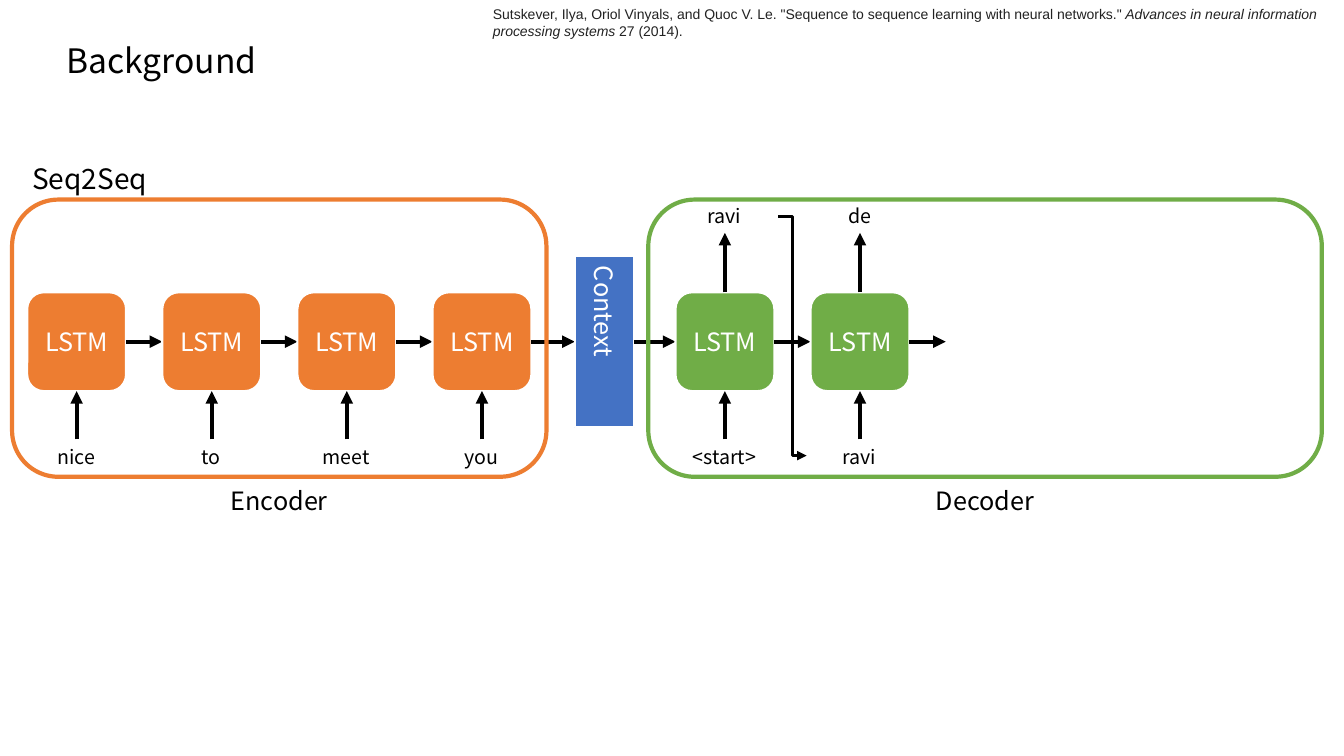
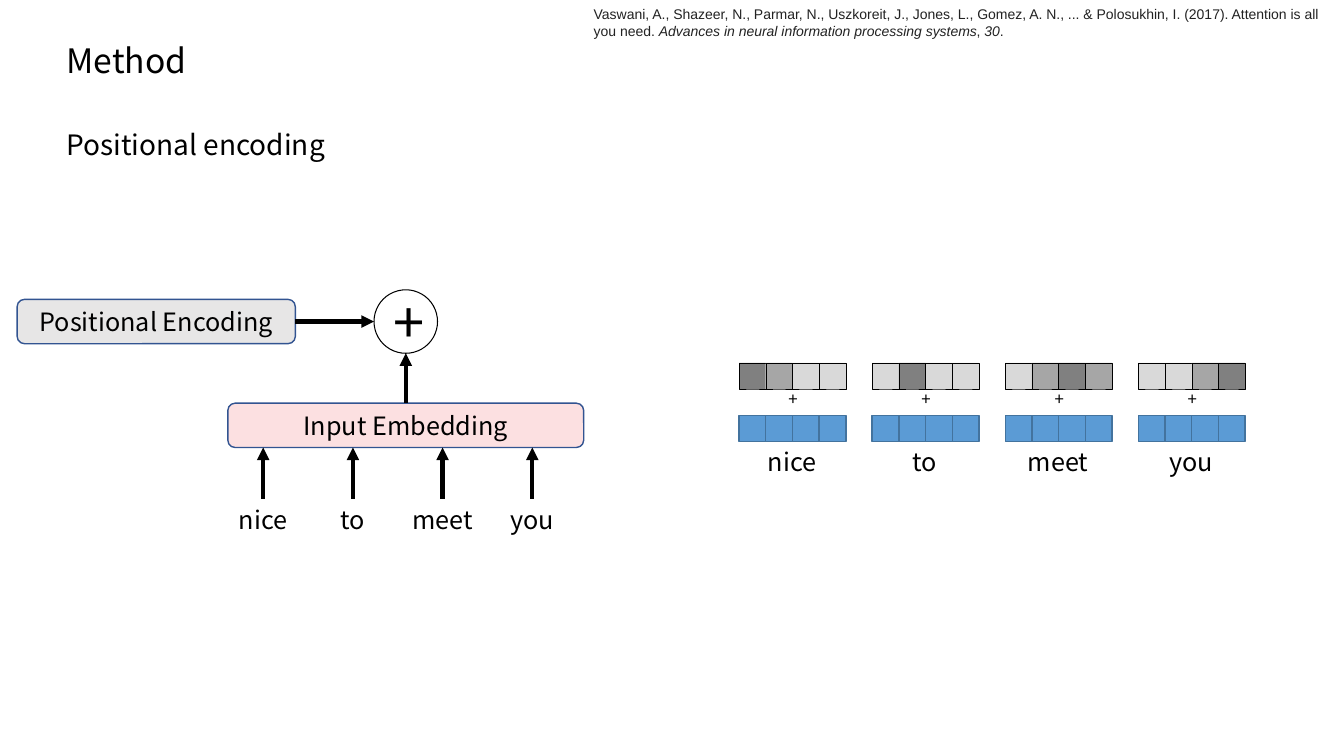
from lxml import etree
from pptx import Presentation
from pptx import util as u
from pptx.dml.color import RGBColor
from pptx.enum import shapes, text
from pptx.oxml.ns import qn

FONT = "Noto Sans CJK KR"
INK = {
    "black": "000000", "white": "FFFFFF", "cite": "222222",
    "orange": "ED7D31", "green": "70AD47", "blue": "4472C4",
    "pink": "FCE0E1", "pale": "E7E6E6", "navy": "325491",
    "sky": "5B9BD5", "steel": "43739E",
    "dark": "808080", "mid": "A6A6A6", "light": "D9D9D9",
}
KIND = shapes.MSO_SHAPE
LEFT, MID = text.PP_ALIGN.LEFT, text.PP_ALIGN.CENTER
TOP, HALF = text.MSO_ANCHOR.TOP, text.MSO_ANCHOR.MIDDLE
WORDS = ["nice", "to", "meet", "you"]


def rgb(ink):
    return RGBColor.from_string(INK[ink])


def place(box):
    return [u.Inches(v) for v in box]


def write(frame, runs, size, ink="black", font=FONT, align=MID, anchor=HALF):
    """Fill a text frame with one paragraph of (words, italic) runs."""
    form = {"word_wrap": True, "vertical_anchor": anchor,
            "auto_size": text.MSO_AUTO_SIZE.NONE}
    for key, value in form.items():
        setattr(frame, key, value)
    if isinstance(runs, str):
        runs = [(runs, False)]
    para = frame.paragraphs[0]
    para.alignment = align
    for words, slant in runs:
        run = para.add_run()
        run.text = words
        form = {"size": u.Pt(size), "name": font, "italic": slant, "bold": False}
        for key, value in form.items():
            setattr(run.font, key, value)
        run.font.color.rgb = rgb(ink)


def label(tree, box, runs, size, **form):
    write(tree.add_textbox(*place(box)).text_frame, runs, size, **form)


def shape(tree, kind, box, fill, line, width):
    item = tree.add_shape(kind, *place(box))
    item.shadow.inherit = False
    if fill:
        item.fill.solid()
        item.fill.fore_color.rgb = rgb(fill)
    else:
        item.fill.background()
    item.line.color.rgb = rgb(line)
    item.line.width = u.Pt(width)
    return item


def arrow(tree, start, end, width=3, kind=shapes.MSO_CONNECTOR.STRAIGHT):
    item = tree.add_connector(kind, *place(start + end))
    item.line.color.rgb = rgb("black")
    item.line.width = u.Pt(width)
    props = item.element.spPr
    etree.SubElement(props.find(qn("a:ln")), qn("a:tailEnd"), type="triangle")
    etree.SubElement(props, qn("a:effectLst"))


# Shared slide frame: title and citation
def start(deck, title, cite, box):
    slide = deck.slides.add_slide(deck.slide_layouts[5])
    head = slide.shapes.title
    head.left, head.top, head.width, head.height = place((0.56, 0.35, 3.92, 0.5))
    write(head.text_frame, title, 24, align=LEFT)
    label(slide.shapes, box, cite, 10, ink="cite", font="Arial", align=LEFT)
    return slide.shapes


# A framed row of LSTM cells, each fed by a word and perhaps giving one
def coder(tree, box, name, ink, pad, words, gap, outs=()):
    left, top, wide, high = box
    side, step, row = 0.98, 1.34, top + 0.92
    mid, feed = row + side / 2, top + 2.38
    for i, word in enumerate(words):
        x = left + pad + i * step
        axis, edge = x + side / 2, x + side
        cell = shape(tree, KIND.ROUNDED_RECTANGLE, (x, row, side, side),
                     ink, "white", 1.5)
        write(cell.text_frame, "LSTM", 18, "white")
        label(tree, (axis - 0.54, feed, 1.07, 0.34), word, 14)
        arrow(tree, (axis, feed), (axis, row + side))
        ahead = gap if i == len(words) - 1 else step - side
        arrow(tree, (edge, mid), (edge + ahead, mid))
        if outs:
            label(tree, (axis - 0.54, top - 0.01, 1.07, 0.34), outs[i], 14)
            arrow(tree, (axis, row), (axis, top + 0.33))
        # The output goes on as the next input
        if i < len(outs) - 1:
            arrow(tree, (edge + 0.04, top + 0.17), (edge + 0.32, top + 2.54),
                  2.25, shapes.MSO_CONNECTOR.ELBOW)
    shape(tree, KIND.ROUNDED_RECTANGLE, box, None, ink, 3)
    label(tree, (left, top + high + 0.01, wide, 0.45), name, 18)


# The vector passed from encoder to decoder
def context(tree, box):
    left, top, wide, high = box
    item = shape(tree, KIND.RECTANGLE, box, "blue", "white", 1.5)
    write(item.text_frame, "Context", 18, "white")
    item.element.find(".//" + qn("a:bodyPr")).set("vert", "eaVert")
    arrow(tree, (left + wide, 3.39), (left + wide + 0.41, 3.39))


def background(deck):
    cite = [('Sutskever, Ilya, Oriol Vinyals, and Quoc V. Le. "Sequence to '
             'sequence learning with neural networks." ', False),
            ("Advances in neural information processing systems", True),
            (" 27 (2014).", False)]
    tree = start(deck, "Background", cite, (4.79, 0, 8.53, 0.44))
    label(tree, (0.22, 1.55, 1.95, 0.44), "Seq2Seq", 20, align=LEFT, anchor=TOP)
    coder(tree, (0.12, 1.98, 5.3, 2.75), "Encoder", "orange", 0.15, WORDS, 0.43)
    context(tree, (5.7, 2.54, 0.59, 1.7))
    coder(tree, (6.43, 1.98, 6.68, 2.75), "Decoder", "green", 0.27,
          ["<start>", "ravi"], 0.36, ["ravi", "de"])


# Words pass through the embedding and meet the positional encoding
def embed(tree, box):
    left, top, wide, high = box
    bars = [("Input Embedding", "pink", box),
            ("Positional Encoding", "pale", (left - 2.09, top - 1.03, 2.76, high))]
    for name, fill, spot in bars:
        bar = shape(tree, KIND.ROUNDED_RECTANGLE, spot, fill, "navy", 1)
        write(bar.text_frame, name, 18)
    for i, word in enumerate(WORDS):
        axis = left + 0.35 + i * 0.89
        label(tree, (axis - 0.43, top + 0.95, 0.86, 0.4), word, 18, anchor=TOP)
        arrow(tree, (axis, top + 0.95), (axis, top + high))
    axis, level, size = left + wide / 2, top - 0.81, 0.63
    ring = shape(tree, KIND.OVAL, (axis - size / 2, level - size / 2, size, size),
                 None, "black", 0.75)
    write(ring.text_frame, "+", 40)
    arrow(tree, (axis, top), (axis, level + size / 2))
    arrow(tree, (left + 0.67, level), (axis - size / 2, level))


# One word with its position vector added to its embedding vector
def stack(tree, box, word, tones):
    left, top, wide, high = box
    group = tree.add_group_shape().shapes
    side, axis = wide / len(tones), left + wide / 2
    rows = [(top, tones, "black", 0.25),
            (top + 0.52, ["sky"] * len(tones), "steel", 1)]
    for y, fills, line, width in rows:
        for i, fill in enumerate(fills):
            shape(group, KIND.RECTANGLE, (left + i * side, y, side, 0.26),
                  fill, line, width)
    label(group, (axis - 0.15, top + 0.19, 0.31, 0.34), "+", 12)
    label(group, (axis - 0.48, top + high - 0.45, 0.95, 0.45), word, 18, anchor=TOP)


def method(deck):
    cite = [("Vaswani, A., Shazeer, N., Parmar, N., Uszkoreit, J., Jones, L., "
             "Gomez, A. N., ... & Polosukhin, I. (2017). Attention is all you "
             "need. ", False),
            ("Advances in neural information processing systems", True),
            (", ", False), ("30", True), (".", False)]
    tree = start(deck, "Method", cite, (5.79, 0, 7.52, 0.44))
    label(tree, (0.56, 1.22, 7.1, 0.44), "Positional encoding", 20,
          align=LEFT, anchor=TOP)
    embed(tree, (2.26, 4, 3.53, 0.44))
    tones = [("dark", "mid", "light", "light"), ("light", "dark", "light", "light"),
             ("light", "mid", "dark", "mid"), ("light", "light", "mid", "dark")]
    for i, (word, tone) in enumerate(zip(WORDS, tones)):
        stack(tree, (7.33 + i * 1.32, 3.6, 1.06, 1.23), word, tone)


def main():
    deck = Presentation()
    deck.slide_width, deck.slide_height = place((13.33, 7.5))
    background(deck)
    method(deck)
    deck.save("out.pptx")


if __name__ == "__main__":
    main()
